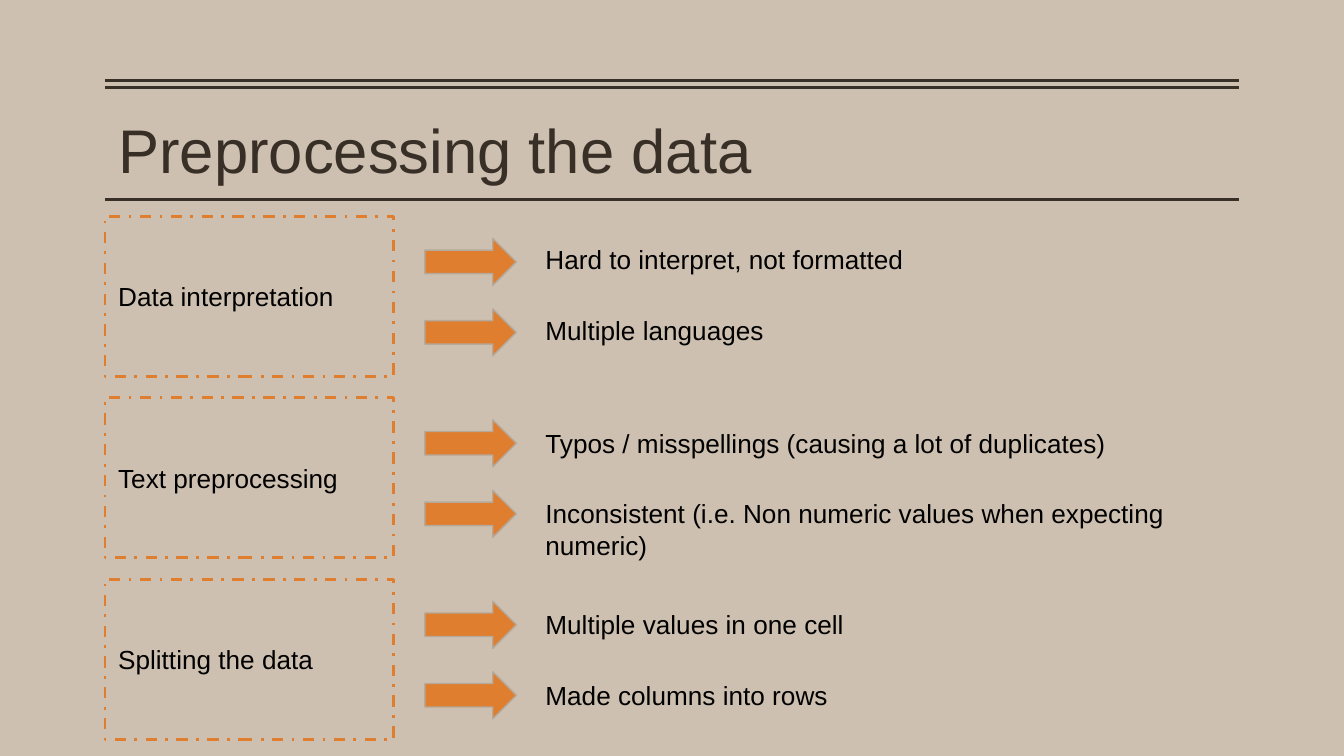
from dataclasses import dataclass

from lxml import etree
from pptx import Presentation
from pptx.dml.color import RGBColor
from pptx.enum import dml, shapes, text
from pptx.oxml import ns
from pptx.util import Pt


@dataclass(frozen=True)
class Theme:
    """Colours, font and type sizes of the slide."""
    back: RGBColor = RGBColor.from_string("CEC0B0")
    dark: RGBColor = RGBColor.from_string("382F27")
    accent: RGBColor = RGBColor.from_string("DF7E2F")
    edge: RGBColor = RGBColor.from_string("B5A99B")
    body: RGBColor = RGBColor.from_string("000000")
    font: str = "Arial"
    title_size: float = 33
    body_size: float = 14


THEME = Theme()
INSET = 7.2
LEFT, WIDTH = 56.2, 607.6
TOP, PITCH, BOX_H = 115.9, 97.2, 85.7
STEP = 37.8
LINE_H = 31.7
WRAP_H = 48.2

GROUPS = [
    ("Data interpretation", 7.4,
     [("Hard to interpret, not formatted", LINE_H),
      ("Multiple languages", LINE_H)]),
    ("Text preprocessing", 8.6,
     [("Typos / misspellings (causing a lot of duplicates)", LINE_H),
      ("Inconsistent (i.e. Non numeric values when expecting numeric)", WRAP_H)]),
    ("Splitting the data", 8.6,
     [("Multiple values in one cell", LINE_H),
      ("Made columns into rows", LINE_H)]),
]


def set_text(sp, content, size, color, anchor, top=INSET):
    """Fill a shape with one left-aligned line of formatted text."""
    tf = sp.text_frame
    tf.text = content
    tf.word_wrap = True
    tf.auto_size = text.MSO_AUTO_SIZE.NONE
    tf.vertical_anchor = anchor
    tf.margin_left = tf.margin_right = tf.margin_bottom = Pt(INSET)
    tf.margin_top = Pt(top)
    p = tf.paragraphs[0]
    p.alignment = text.PP_ALIGN.LEFT
    r = p.runs[0]
    r.font.name = THEME.font
    r.font.size = Pt(size)
    r.font.color.rgb = color


def add_rule(s, x, y, w):
    """Draw a horizontal rule."""
    c = s.shapes.add_connector(
        shapes.MSO_CONNECTOR.STRAIGHT, Pt(x), Pt(y), Pt(x + w), Pt(y))
    c.line.color.rgb = THEME.dark
    c.line.width = Pt(1.5)
    etree.SubElement(c._element.spPr, ns.qn("a:effectLst"))


def add_header(s, x, y, w, h):
    """Place the title between a double rule and a single rule."""
    sp = s.shapes.title
    sp.left, sp.top, sp.width, sp.height = Pt(x), Pt(y + 13), Pt(w), Pt(37.4)
    set_text(sp, "Preprocessing the data", THEME.title_size, THEME.dark,
             text.MSO_ANCHOR.TOP, top=4)
    for dy in (0, 3.6, h):
        add_rule(s, x, y + dy, w)


def add_label(s, label, x, y, w, h):
    """Draw a dash-dot frame holding a step name."""
    sp = s.shapes.add_shape(
        shapes.MSO_SHAPE.RECTANGLE, Pt(x), Pt(y), Pt(w), Pt(h))
    sp.shadow.inherit = False
    sp.fill.background()
    sp.line.color.rgb = THEME.accent
    sp.line.width = Pt(1.5)
    sp.line.dash_style = dml.MSO_LINE.DASH_DOT
    set_text(sp, label, THEME.body_size, THEME.body, text.MSO_ANCHOR.MIDDLE)


def add_arrow(s, x, y, w, h):
    """Draw a block arrow pointing right."""
    sp = s.shapes.add_shape(
        shapes.MSO_SHAPE.RIGHT_ARROW, Pt(x), Pt(y), Pt(w), Pt(h))
    sp.shadow.inherit = False
    sp.fill.solid()
    sp.fill.fore_color.rgb = THEME.accent
    sp.line.color.rgb = THEME.edge
    sp.line.width = Pt(0.75)


def add_group(s, label, text_dy, notes, x, y, w, h):
    """Place a step frame with an arrow and a text for each note."""
    add_label(s, label, x, y, 154.8, h)
    for i, (note, note_h) in enumerate(notes):
        row = y + i * STEP
        add_arrow(s, x + 171.4, row + 11.8, 49, 25.2)
        sp = s.shapes.add_textbox(
            Pt(x + 228.9), Pt(row + text_dy), Pt(w - 228.9), Pt(note_h))
        set_text(sp, note, THEME.body_size, THEME.body, text.MSO_ANCHOR.TOP)


def main():
    """Build and save the slide."""
    prs = Presentation()
    prs.slide_width, prs.slide_height = Pt(720), Pt(405)
    s = prs.slides.add_slide(prs.slide_layouts.get_by_name("Title Only"))
    s.background.fill.solid()
    s.background.fill.fore_color.rgb = THEME.back
    add_header(s, LEFT, 43.2, WIDTH, 63.9)
    for i, (label, text_dy, notes) in enumerate(GROUPS):
        add_group(s, label, text_dy, notes, LEFT, TOP + i * PITCH, WIDTH, BOX_H)
    prs.save("out.pptx")


if __name__ == "__main__":
    main()
